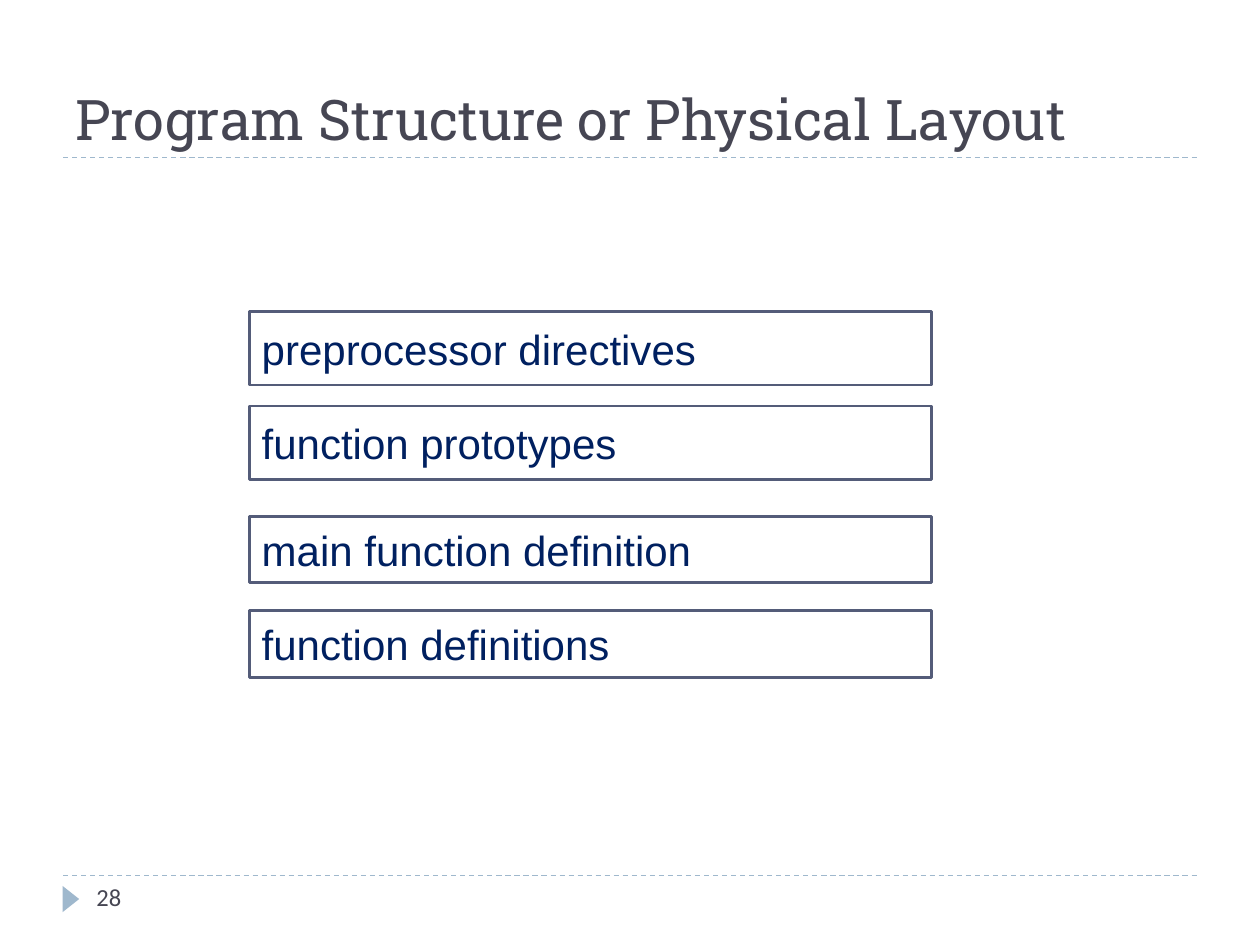
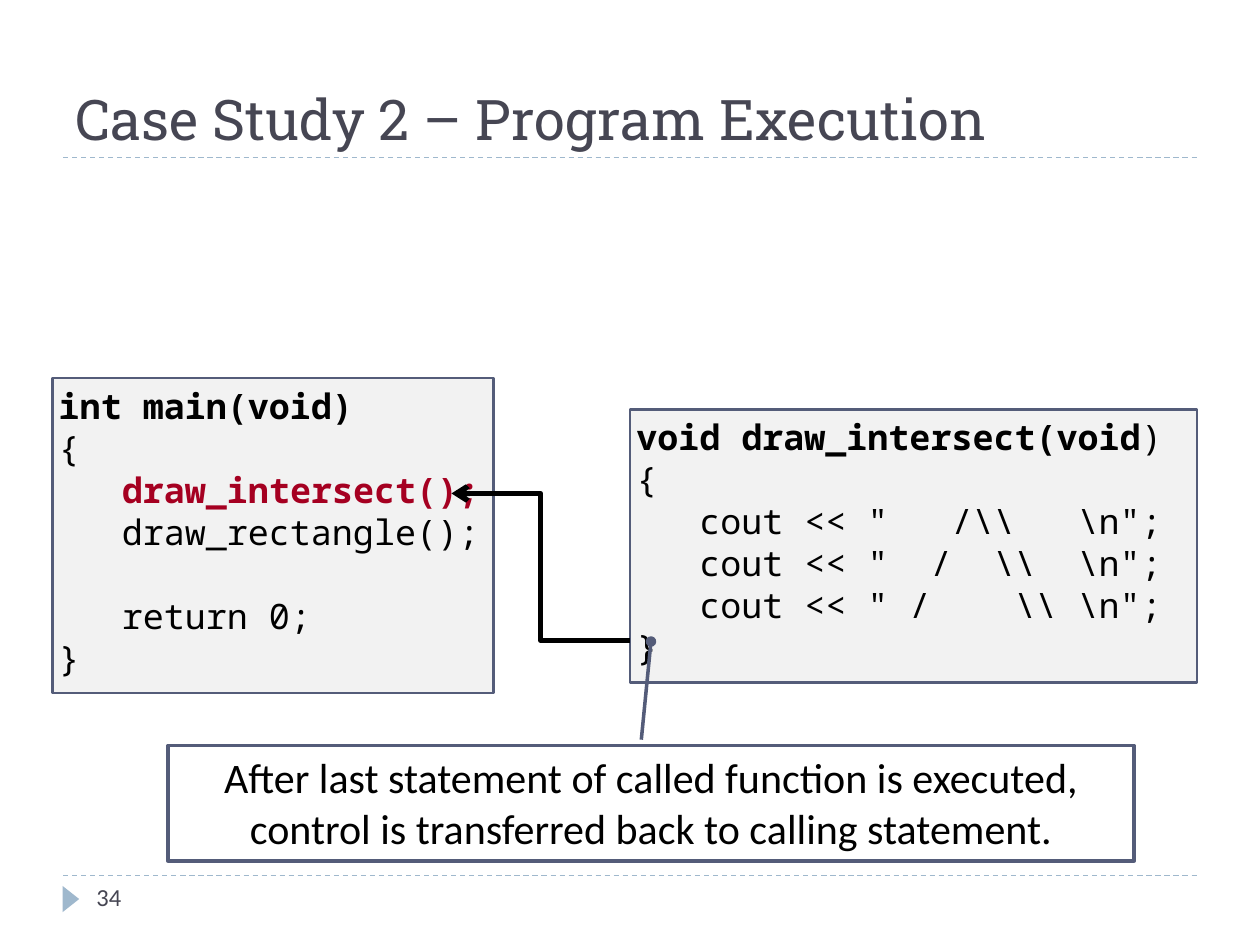
from lxml.etree import SubElement as Sub
from pptx import Presentation
from pptx.dml.color import RGBColor as Rgb
from pptx.enum.dml import MSO_LINE as Dash
from pptx.enum.shapes import MSO_CONNECTOR as Link, MSO_SHAPE as Kind
from pptx.enum.text import MSO_ANCHOR as Anchor, PP_ALIGN as Align
from pptx.oxml.ns import qn
from pptx.util import Pt

WHITE = Rgb(0xFF, 0xFF, 0xFF)
BLACK = Rgb(0, 0, 0)
PALE = Rgb(0xF2, 0xF2, 0xF2)
SKY = Rgb(0x9F, 0xB8, 0xCD)
SLATE = Rgb(0x54, 0x5C, 0x79)
INK = Rgb(0x46, 0x46, 0x53)
NAVY = Rgb(0x00, 0x20, 0x60)
RED = Rgb(0xA5, 0x00, 0x21)

LEFT, RIGHT = 36, 684
TOP_RULE, LOW_RULE = 90, 500.4
CODE_LINE = 24


def add_run(para, text, font, size, color, bold=False):
    run = para.add_run()
    run.text = text
    run.font.name = font
    run.font.size = Pt(size)
    run.font.bold = bold
    run.font.color.rgb = color


def add_text(slide, area, text, font, size, anchor):
    frame = slide.shapes.add_textbox(*map(Pt, area)).text_frame
    frame.word_wrap = True
    frame.vertical_anchor = anchor
    add_run(frame.paragraphs[0], text, font, size, INK)


def add_box(slide, area, fill, line=None, width=1.5, kind=Kind.RECTANGLE):
    box = slide.shapes.add_shape(kind, *map(Pt, area))
    box.shadow.inherit = False
    box.fill.solid()
    box.fill.fore_color.rgb = fill
    if line is None:
        box.line.fill.background()
    else:
        box.line.color.rgb = line
        box.line.width = Pt(width)
    box.text_frame.word_wrap = True
    box.text_frame.paragraphs[0].alignment = Align.LEFT
    return box


def add_line(slide, start, end, color, width, kind=Link.STRAIGHT):
    line = slide.shapes.add_connector(kind, *map(Pt, start + end))
    line.line.color.rgb = color
    line.line.width = Pt(width)
    Sub(line.element.spPr, qn("a:effectLst"))
    return line


def add_tip(shape, style):
    outline = shape.element.spPr.find(qn("a:ln"))
    Sub(outline, qn("a:tailEnd"), type=style)


def add_page(deck, title, number):
    slide = deck.slides.add_slide(deck.slide_layouts[6])
    for y in (LOW_RULE, TOP_RULE):
        rule = add_line(slide, (LEFT, y), (RIGHT, y), SKY, 0.75)
        rule.line.dash_style = Dash.DASH
    mark = add_box(slide, (33, 509, 15, 9.5), SKY, kind=Kind.ISOSCELES_TRIANGLE)
    mark.rotation = 90
    add_text(slide, (LEFT, 12, RIGHT - LEFT, 78), title, "Roboto Slab", 32, Anchor.BOTTOM)
    add_text(slide, (48, LOW_RULE, 156, 29), number, "Calibri", 14, Anchor.TOP)
    return slide


def add_part(slide, top, height, text):
    box = add_box(slide, (142.5, top, 390, height), WHITE, SLATE)
    box.text_frame.vertical_anchor = Anchor.MIDDLE
    add_run(box.text_frame.paragraphs[0], text, "Arial", 24, NAVY)


def add_code(slide, area, rows):
    frame = add_box(slide, area, PALE, SLATE).text_frame
    frame.vertical_anchor = Anchor.TOP
    frame.margin_left = frame.margin_right = Pt(3.6)
    frame.margin_top = frame.margin_bottom = Pt(3.6)
    for i, (gap, *parts) in enumerate(rows):
        para = frame.add_paragraph() if i else frame.paragraphs[0]
        para.alignment = Align.LEFT
        if gap:
            para.space_before = Pt(gap * CODE_LINE)
        for text, color, bold in parts:
            add_run(para, text, "Noto Sans Mono", 20, color, bold)


def plain(text, gap=0):
    return gap, (text, BLACK, False)


def add_note(slide, area, text, pointer):
    note = add_box(slide, area, WHITE, SLATE, 2, Kind.LINE_CALLOUT_1)
    for i, value in enumerate(pointer):
        note.adjustments[i] = value
    add_tip(note, "oval")
    note.text_frame.vertical_anchor = Anchor.TOP
    para = note.text_frame.paragraphs[0]
    para.alignment = Align.CENTER
    add_run(para, text, "Calibri", 24, BLACK)


def show_layout(deck):
    slide = add_page(deck, "Program Structure or Physical Layout", "28")
    pairs = (
        (178, 42, ("preprocessor directives", "function prototypes")),
        (295, 38, ("main function definition", "function definitions")),
    )
    for top, height, names in pairs:
        for i, name in enumerate(names):
            add_part(slide, top + i * 54, height, name)


def show_study(deck):
    slide = add_page(deck, "Case Study 2 – Program Execution", "34")
    add_code(slide, (30, 216, 252, 180), (
        (0, ("int main(void)", BLACK, True)),
        plain("{"),
        (0, ("   ", RED, False), ("draw_intersect();", RED, True)),
        plain("   draw_rectangle();"),
        plain("   return 0;", 1),
        plain("}"),
    ))
    add_code(slide, (360, 234, 324, 156), (
        (0, ("void draw_intersect(void", BLACK, True), (")", BLACK, False)),
        plain("{"),
        plain(r'   cout << "   /\\   \n";'),
        plain(r'   cout << "  /  \\  \n";'),
        plain(r'   cout << " /    \\ \n";'),
        plain("}"),
    ))
    add_note(
        slide, (96, 426, 552, 66),
        "After last statement of called function is executed, "
        "control is transferred back to calling statement.",
        (-0.05, 0.49, -0.9, 0.5),
    )
    back = add_line(slide, (360, 366), (258, 282), BLACK, 3, Link.ELBOW)
    add_tip(back, "arrow")


def main():
    deck = Presentation()
    deck.slide_width, deck.slide_height = Pt(720), Pt(540)
    show_layout(deck)
    show_study(deck)
    deck.save("out.pptx")


if __name__ == "__main__":
    main()
